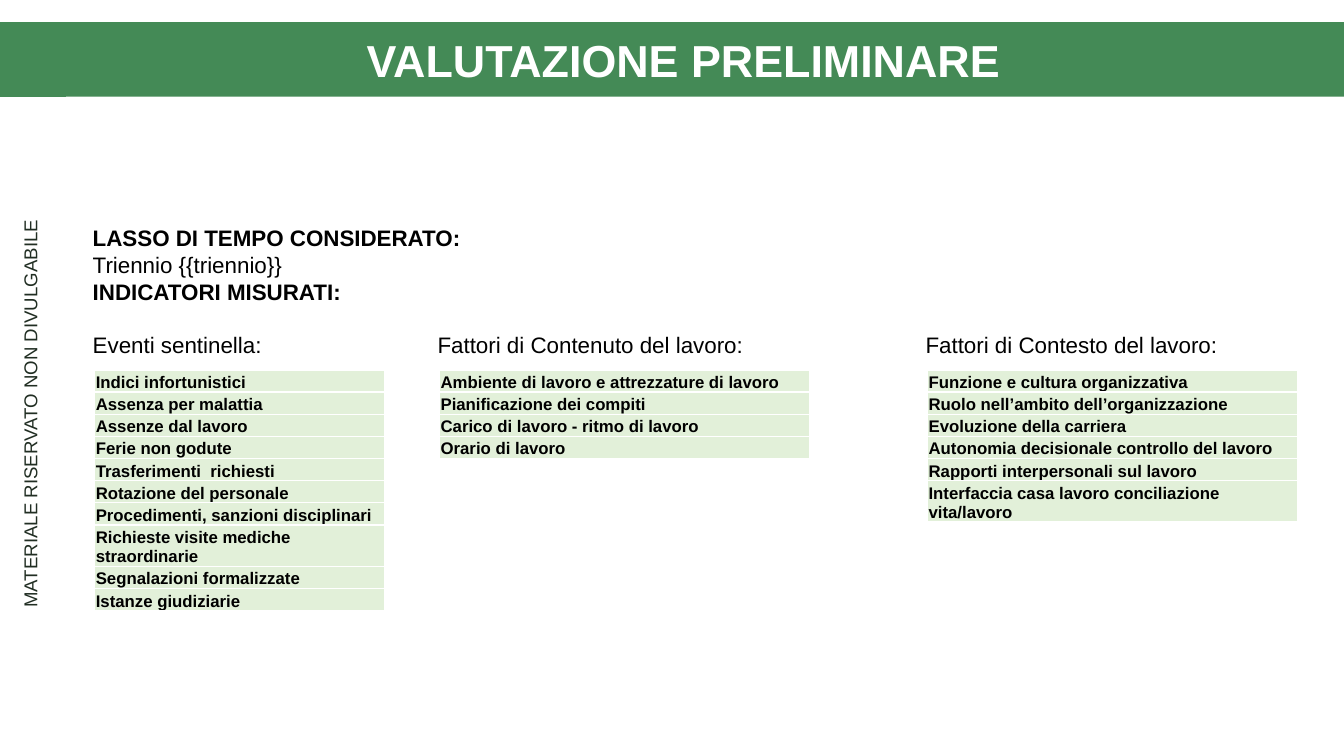
from lxml import etree
from pptx import Presentation
from pptx.dml.color import RGBColor
from pptx.enum.shapes import MSO_SHAPE
from pptx.enum.text import MSO_ANCHOR, PP_ALIGN
from pptx.oxml.ns import qn
from pptx.util import Pt

PX = 9144  # 100 px to the inch
CENTER = PP_ALIGN.CENTER
MIDDLE, BOTTOM = MSO_ANCHOR.MIDDLE, MSO_ANCHOR.BOTTOM
ROUNDED = MSO_SHAPE.ROUNDED_RECTANGLE
ROW_HEIGHT = 22


def rgb(value):
    return RGBColor.from_string(value)


def write(frame, lines, size, color, bold=()):
    """Fill a frame without insets; bold holds the indexes of bold lines."""
    frame.word_wrap = True
    frame.margin_left = frame.margin_right = 0
    frame.margin_top = frame.margin_bottom = 0
    for i, line in enumerate(lines):
        paragraph = frame.paragraphs[0] if i == 0 else frame.add_paragraph()
        paragraph.text = line
        paragraph.font.name = "Arial"
        paragraph.font.size = Pt(size)
        paragraph.font.bold = i in bold
        paragraph.font.color.rgb = rgb(color)
    return frame.paragraphs


prs = Presentation()
prs.slide_width, prs.slide_height = 1333 * PX, 750 * PX
slide = prs.slides.add_slide(prs.slide_layouts[6])
shapes = slide.shapes

# Period considered
period = shapes.add_textbox(92 * PX, 223 * PX, 800 * PX, 79 * PX)
period_lines = write(period.text_frame, [
    "LASSO DI TEMPO CONSIDERATO:",
    "Triennio {{triennio}}",
    "INDICATORI MISURATI:",
], 16, "000000", bold=(0, 2))
for paragraph in period_lines:
    paragraph.line_spacing = Pt(19)

# Indicator columns: left, table width, heading, indicators
columns = [
    (94, 287, "Eventi sentinella:", [
        "Indici infortunistici",
        "Assenza per malattia",
        "Assenze dal lavoro",
        "Ferie non godute",
        "Trasferimenti  richiesti",
        "Rotazione del personale",
        "Procedimenti, sanzioni disciplinari",
        "Richieste visite mediche straordinarie",
        "Segnalazioni formalizzate",
        "Istanze giudiziarie",
    ]),
    (436, 367, "Fattori di Contenuto del lavoro:", [
        "Ambiente di lavoro e attrezzature di lavoro",
        "Pianificazione dei compiti",
        "Carico di lavoro - ritmo di lavoro",
        "Orario di lavoro",
    ]),
    (920, 367, "Fattori di Contesto del lavoro:", [
        "Funzione e cultura organizzativa",
        "Ruolo nell’ambito dell’organizzazione",
        "Evoluzione della carriera",
        "Autonomia decisionale controllo del lavoro",
        "Rapporti interpersonali sul lavoro",
        "Interfaccia casa lavoro conciliazione vita/lavoro",
    ]),
]
for left, width, title, indicators in columns:
    heading = shapes.add_textbox((left - 2) * PX, 329 * PX, width * PX, 26 * PX)
    write(heading.text_frame, [title], 16, "000000")

    count = len(indicators)
    table = shapes.add_table(count, 1, left * PX, 367 * PX, width * PX,
                             count * ROW_HEIGHT * PX).table
    table.first_row = table.horz_banding = False
    for row, indicator in enumerate(indicators):
        table.rows[row].height = ROW_HEIGHT * PX
        cell = table.cell(row, 0)
        write(cell.text_frame, [indicator], 12, "000000", bold=(0,))
        cell.margin_left = cell.margin_right = cell.margin_top = PX
        cell.margin_bottom = 0
        cell.vertical_anchor = BOTTOM
        # White 1 pt borders come before the fill
        properties = cell._tc.get_or_add_tcPr()
        for side in ("a:lnL", "a:lnR", "a:lnT", "a:lnB"):
            border = etree.SubElement(properties, qn(side), w=str(Pt(1)))
            border_fill = etree.SubElement(border, qn("a:solidFill"))
            etree.SubElement(border_fill, qn("a:srgbClr"), val="FFFFFF")
        cell.fill.solid()
        cell.fill.fore_color.rgb = rgb("E2F0D9")

# Title band, running past both slide edges
band = shapes.add_shape(ROUNDED, -37 * PX, 22 * PX, 1430 * PX, 74 * PX)
band.shadow.inherit = False
band.fill.solid()
band.fill.fore_color.rgb = rgb("448A56")
band.line.fill.background()
band.text_frame.vertical_anchor = MIDDLE
write(band.text_frame, ["VALUTAZIONE PRELIMINARE"], 32, "FFFFFF",
      bold=(0,))[0].alignment = CENTER

# Confidentiality note along the left edge
note = shapes.add_textbox(-253 * PX, 376 * PX, 584 * PX, 69 * PX)
note.rotation = 270
note_line = write(note.text_frame, ["MATERIALE RISERVATO NON DIVULGABILE"],
                  13.3, "212E23")[0]
note_line.alignment = CENTER
note_line.line_spacing = Pt(26.1)

prs.save("out.pptx")
